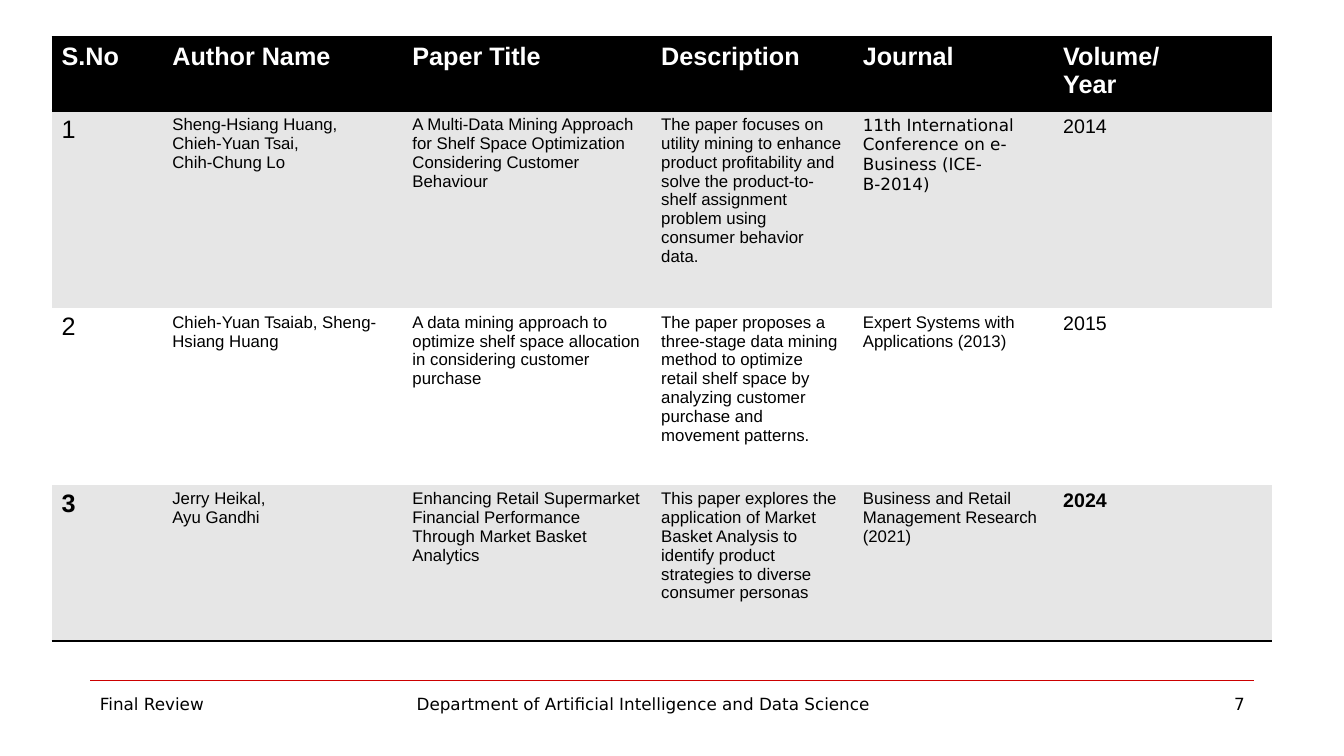
from lxml.etree import SubElement
from pptx import Presentation
from pptx.dml.color import RGBColor
from pptx.enum.shapes import MSO_CONNECTOR
from pptx.enum.text import PP_ALIGN
from pptx.oxml.ns import qn
from pptx.util import Cm, Pt

BLACK = RGBColor(0x00, 0x00, 0x00)
WHITE = RGBColor(0xFF, 0xFF, 0xFF)
GRAY = RGBColor(0xE6, 0xE6, 0xE6)
RED = RGBColor(0xCC, 0x00, 0x00)


def write(tf, text, size=12, font="Arial", color=BLACK, bold=False, align=PP_ALIGN.LEFT):
    """Fill a text frame, one paragraph per line of text."""
    tf.word_wrap = True
    for i, line in enumerate(text.split("\n")):
        p = tf.paragraphs[0] if i == 0 else tf.add_paragraph()
        p.alignment = align
        r = p.add_run()
        r.text = line
        r.font.size = Pt(size)
        r.font.name = font
        r.font.bold = bold
        r.font.color.rgb = color


def set_borders(cell, ruled):
    """Draw 2 pt black lines on the ruled sides and clear the others."""
    tcPr = cell._tc.get_or_add_tcPr()
    for side in "LRTB":
        ln = SubElement(tcPr, qn(f"a:ln{side}"))
        if side in ruled:
            ln.set("w", str(Pt(2)))
            fill = SubElement(ln, qn("a:solidFill"))
            SubElement(fill, qn("a:srgbClr"), val=str(BLACK))
        else:
            SubElement(ln, qn("a:noFill"))


prs = Presentation()
prs.slide_width = Cm(33.87)
prs.slide_height = Cm(19.05)
s = prs.slides.add_slide(prs.slide_layouts[6])

# Literature survey table
papers = [
    ["S.No", "Author Name", "Paper Title", "Description", "Journal", "Volume/\nYear"],
    ["1",
     "Sheng-Hsiang Huang,\nChieh-Yuan Tsai,\nChih-Chung Lo",
     "A Multi-Data Mining Approach for Shelf Space Optimization "
     "Considering Customer Behaviour",
     "The paper focuses on utility mining to enhance product profitability and solve "
     "the product-to-shelf assignment problem using consumer behavior data.",
     "11th International Conference on e-Business (ICE-B-2014)",
     "2014"],
    ["2",
     "Chieh-Yuan Tsaiab, Sheng-Hsiang Huang",
     "A data mining approach to optimize shelf space allocation "
     "in considering customer purchase",
     "The paper proposes a three-stage data mining method to optimize retail shelf "
     "space by analyzing customer purchase and movement patterns.",
     "Expert Systems with Applications (2013)",
     "2015"],
    ["3",
     "Jerry Heikal,\nAyu Gandhi",
     "Enhancing Retail Supermarket Financial Performance "
     "Through Market Basket Analytics",
     "This paper explores the application of Market Basket Analysis to identify "
     "product strategies to diverse consumer personas",
     "Business and Retail Management Research (2021)",
     "2024"],
]
col_widths = [2.79, 6.05, 6.27, 5.08, 5.05, 5.51]
row_heights = [1.83, 4.98, 4.45, 3.94]
row_fills = [BLACK, GRAY, WHITE, GRAY]
row_rules = ["TB", "T", "", "B"]
col_sizes = [18, 12, 12, 12, 12, 14]

table = s.shapes.add_table(len(papers), len(col_widths), Cm(1.3), Cm(0.95),
                           Cm(sum(col_widths)), Cm(sum(row_heights))).table
for column, width in zip(table.columns, col_widths):
    column.width = Cm(width)
for row, height in zip(table.rows, row_heights):
    row.height = Cm(height)

last = len(papers) - 1
for i, paper in enumerate(papers):
    for j, text in enumerate(paper):
        cell = table.cell(i, j)
        set_borders(cell, row_rules[i])
        cell.fill.solid()
        cell.fill.fore_color.rgb = row_fills[i]
        if i == 0:
            write(cell.text_frame, text, size=18, color=WHITE, bold=True)
        else:
            write(cell.text_frame, text, size=col_sizes[j],
                  font="DejaVu Sans" if (i, j) == (1, 4) else "Arial",
                  bold=i == last and j in (0, 5))

# Footer
rule = s.shapes.add_connector(MSO_CONNECTOR.STRAIGHT, Cm(2.27), Cm(17.15), Cm(31.6), Cm(17.15))
rule.line.color.rgb = RED
rule.line.width = Pt(0.75)
SubElement(rule._element.spPr, qn("a:effectLst"))

footers = [
    ("Final Review", 2.27, 7.34, PP_ALIGN.LEFT),
    ("Department of Artificial Intelligence and Data Science", 10.13, 12.17, PP_ALIGN.CENTER),
    ("7", 24.28, 7.34, PP_ALIGN.RIGHT),
]
for text, left, width, align in footers:
    box = s.shapes.add_textbox(Cm(left), Cm(17.35), Cm(width), Cm(1.32))
    write(box.text_frame, text, font="DejaVu Sans", align=align)

prs.save("out.pptx")
